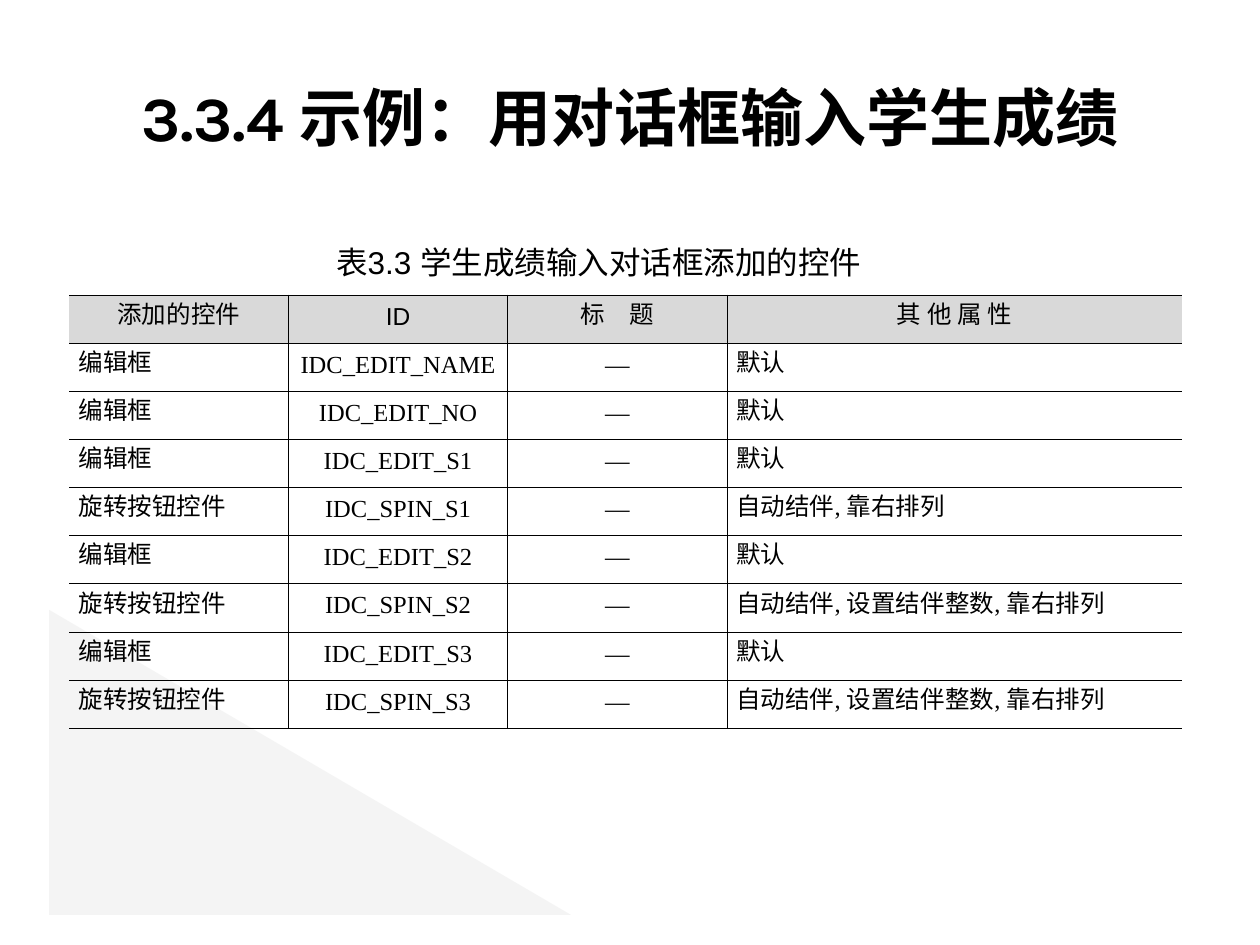
"""Build the slide listing the controls of the student score dialog."""
from lxml import etree
from pptx import Presentation
from pptx.dml.color import RGBColor
from pptx.enum.shapes import MSO_SHAPE
from pptx.enum.text import MSO_ANCHOR, PP_ALIGN
from pptx.oxml.ns import qn
from pptx.util import Pt

LEFT, CENTER, JUSTIFY = PP_ALIGN.LEFT, PP_ALIGN.CENTER, PP_ALIGN.JUSTIFY
TOP, MIDDLE = MSO_ANCHOR.TOP, MSO_ANCHOR.MIDDLE
RIGHT_TRIANGLE = MSO_SHAPE.RIGHT_TRIANGLE

TITLE = "3.3.4 示例：用对话框输入学生成绩"
CAPTION = "表3.3 学生成绩输入对话框添加的控件"
HEADER = ("添加的控件", "ID", "标　题", "其 他 属 性")
EDIT, SPIN = "编辑框", "旋转按钮控件"
DEFAULT = "默认"
BUDDY = "自动结伴, 靠右排列"
BUDDY_INT = "自动结伴, 设置结伴整数, 靠右排列"
CONTROLS = [
    (EDIT, "IDC_EDIT_NAME", "—", DEFAULT),
    (EDIT, "IDC_EDIT_NO", "—", DEFAULT),
    (EDIT, "IDC_EDIT_S1", "—", DEFAULT),
    (SPIN, "IDC_SPIN_S1", "—", BUDDY),
    (EDIT, "IDC_EDIT_S2", "—", DEFAULT),
    (SPIN, "IDC_SPIN_S2", "—", BUDDY_INT),
    (EDIT, "IDC_EDIT_S3", "—", DEFAULT),
    (SPIN, "IDC_SPIN_S3", "—", BUDDY_INT),
]
COL_WIDTHS = (125.28, 125.28, 125.28, 259.92)
COL_ALIGNS = (JUSTIFY, CENTER, CENTER, JUSTIFY)
ROW_HEIGHT = 27.52

THEME = {
    "ink": "000000", "header": "D9D9D9", "corner": "F2F2F2", "corner_alpha": 83,
    "title_font": "Karla", "head_font": "Arial", "body_font": "Times New Roman",
    "title_size": 36, "caption_size": 18, "cell_size": 14,
    "leading": 13, "rule": 0.45,
}


def write(tf, text, *, font, size, align=LEFT, bold=False, leading=None):
    """Write one formatted paragraph into a text frame."""
    p = tf.paragraphs[0]
    p.alignment = align
    if leading:
        p.line_spacing = Pt(leading)
    r = p.add_run()
    r.text = text
    r.font.name, r.font.size, r.font.bold = font, Pt(size), bold
    r.font.color.rgb = RGBColor.from_string(THEME["ink"])


def add_text(slide, box, text, *, anchor, wrap, **fmt):
    """Add a text box holding one paragraph."""
    tf = slide.shapes.add_textbox(*map(Pt, box)).text_frame
    tf.word_wrap, tf.vertical_anchor = wrap, anchor
    write(tf, text, **fmt)


def add_corner(slide, box):
    """Add the translucent triangle in the lower left corner."""
    sp = slide.shapes.add_shape(RIGHT_TRIANGLE, *map(Pt, box))
    sp.shadow.inherit = False
    sp.line.fill.background()
    sp.fill.solid()
    sp.fill.fore_color.rgb = RGBColor.from_string(THEME["corner"])
    color = sp.fill._xPr.find(".//" + qn("a:srgbClr"))
    etree.SubElement(color, qn("a:alpha"), val=str(THEME["corner_alpha"] * 1000))


def rule_cell(cell, hidden):
    """Draw the cell's borders, leaving the hidden sides open."""
    tc_pr = cell._tc.get_or_add_tcPr()
    for side in "LRTB":
        ln = etree.SubElement(tc_pr, qn(f"a:ln{side}"), w=str(Pt(THEME["rule"])))
        if side in hidden:
            etree.SubElement(ln, qn("a:noFill"))
        else:
            fill = etree.SubElement(ln, qn("a:solidFill"))
            etree.SubElement(fill, qn("a:srgbClr"), val=THEME["ink"])


def add_table(slide, left, top):
    """Add the table of controls, open at its left and right edges."""
    rows = [HEADER, *CONTROLS]
    size = (sum(COL_WIDTHS), ROW_HEIGHT * len(rows))
    table = slide.shapes.add_table(
        len(rows), len(HEADER), *map(Pt, (left, top, *size))).table
    table.first_row = table.horz_banding = False
    for col, width in zip(table.columns, COL_WIDTHS):
        col.width = Pt(width)
    for i, row in enumerate(rows):
        table.rows[i].height = Pt(ROW_HEIGHT)
        for j, text in enumerate(row):
            cell = table.cell(i, j)
            cell.vertical_anchor = MIDDLE
            cell.margin_left = cell.margin_right = Pt(5.4)
            rule_cell(cell, {0: "L", len(row) - 1: "R"}.get(j, ""))
            if i == 0:
                cell.fill.solid()
                cell.fill.fore_color.rgb = RGBColor.from_string(THEME["header"])
            else:
                cell.fill.background()
            write(cell.text_frame, text, size=THEME["cell_size"],
                  font=THEME["body_font" if i else "head_font"],
                  align=COL_ALIGNS[j] if i else CENTER, leading=THEME["leading"])


def main():
    """Assemble and save the slide."""
    prs = Presentation()
    prs.slide_width, prs.slide_height = Pt(720), Pt(540)
    slide = prs.slides.add_slide(prs.slide_layouts[6])
    add_corner(slide, (28.08, 348.48, 298.08, 174.24))
    add_text(slide, (36, 21.6, 648, 90), TITLE, anchor=MIDDLE, wrap=True,
             font=THEME["title_font"], size=THEME["title_size"],
             align=CENTER, bold=True)
    add_table(slide, 39.6, 168.6)
    add_text(slide, (185, 135.4, 327.6, 50.4), CAPTION, anchor=TOP, wrap=False,
             font=THEME["head_font"], size=THEME["caption_size"])
    prs.save("out.pptx")


if __name__ == "__main__":
    main()
